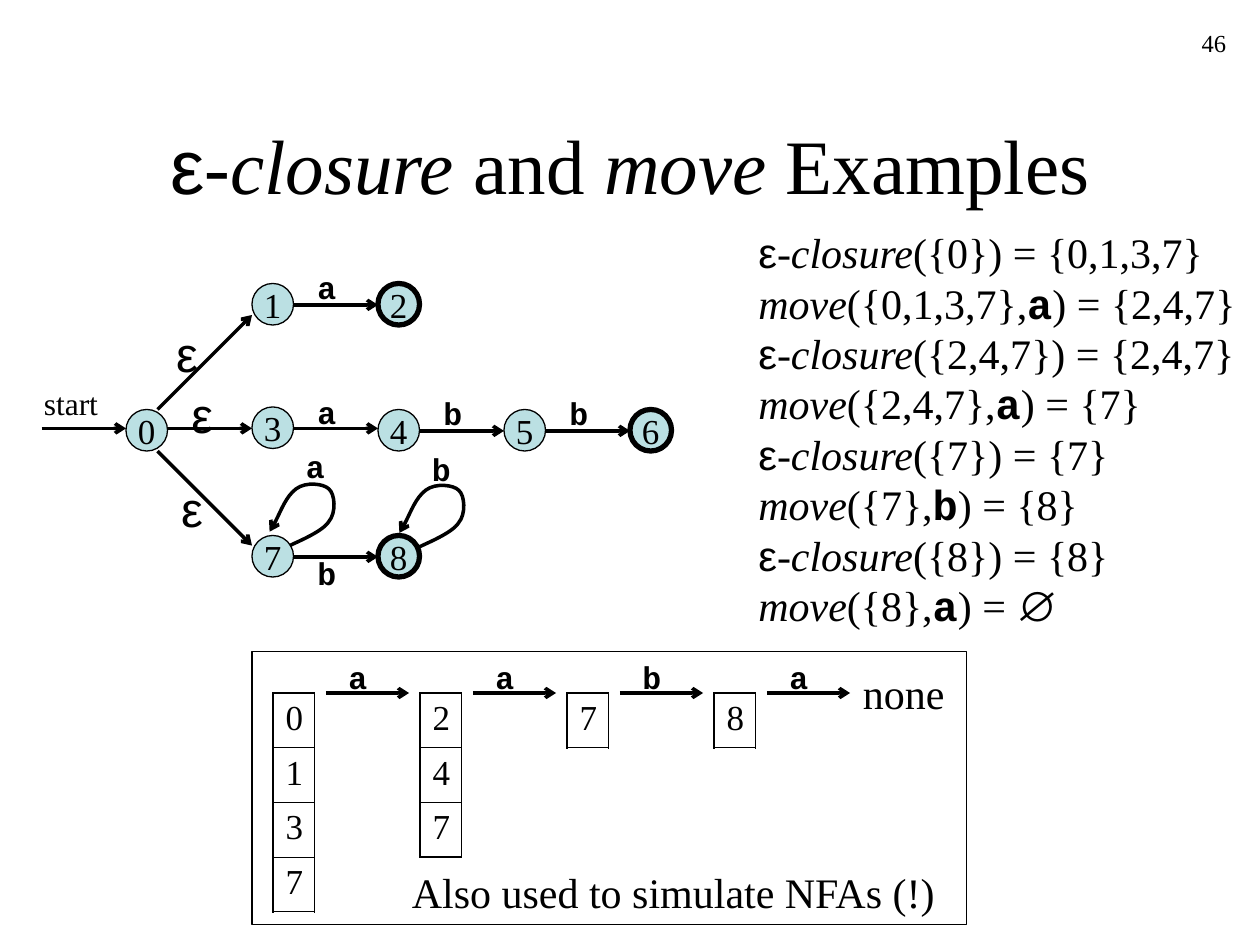
from typing import NamedTuple

from lxml.etree import SubElement
from pptx import Presentation
from pptx.dml.color import RGBColor
from pptx.enum.shapes import MSO_CONNECTOR, MSO_SHAPE
from pptx.enum.text import MSO_ANCHOR, MSO_AUTO_SIZE, PP_ALIGN
from pptx.oxml.ns import qn
from pptx.util import Inches, Pt

BLACK = RGBColor(0x00, 0x00, 0x00)
PALE_TEAL = RGBColor(0xBB, 0xE0, 0xE3)
SERIF, SANS, MONO = "Times New Roman", "Arial", "Courier New"
NODE_SIZE = 0.33


class Run(NamedTuple):
    text: str
    font: str = SERIF
    italic: bool = False
    bold: bool = False


class State(NamedTuple):
    name: str
    left: float
    top: float
    accepting: bool = False


class Arrow(NamedTuple):
    start: tuple[float, float]
    end: tuple[float, float]


class Label(NamedTuple):
    run: Run
    left: float
    top: float
    width: float = 0.35
    height: float = 0.4
    size: float = 18


def symbol(text: str) -> Run:
    return Run(text, MONO, bold=True)


EPSILON = Run("ε", SANS)
CLOSURE = Run("-closure", italic=True)
MOVE = Run("move", italic=True)


def closure_line(states: str, result: str) -> list[Run]:
    return [EPSILON, CLOSURE, Run(f"({{{states}}}) = {{{result}}}")]


def move_line(states: str, letter: str, *result: Run) -> list[Run]:
    return [MOVE, Run(f"({{{states}}},"), symbol(letter), Run(") = "), *result]


STATES = [
    State("0", 1, 3.25), State("1", 2, 2.25), State("2", 3, 2.25, True),
    State("3", 2, 3.23), State("4", 3, 3.25), State("5", 4, 3.25),
    State("6", 5, 3.25, True), State("7", 2, 4.25), State("8", 3, 4.25, True),
]
TRANSITIONS = [
    Arrow((0.33, 3.4), (1, 3.4)), Arrow((1.25, 3.25), (2, 2.5)),
    Arrow((1.33, 3.4), (2, 3.4)), Arrow((1.25, 3.58), (2, 4.33)),
    Arrow((2.33, 2.42), (3, 2.42)), Arrow((2.33, 3.4), (3, 3.4)),
    Arrow((3.33, 3.42), (4, 3.42)), Arrow((4.33, 3.42), (5, 3.42)),
    Arrow((2.33, 4.42), (3, 4.42)),
]
LABELS = [
    Label(Run("start"), 0.25, 3, 0.63),
    *[Label(EPSILON, left, top, 0.37, 0.57, 28)
      for left, top in [(1.3, 2.52), (1.42, 3), (1.34, 3.75)]],
    *[Label(symbol(letter), left, top) for letter, left, top in [
        ("a", 2.42, 2.08), ("a", 2.42, 3.07), ("b", 3.42, 3.08), ("b", 4.42, 3.08),
        ("b", 2.42, 4.35), ("a", 2.33, 3.5), ("b", 3.33, 3.52)]],
]
# Bezier points of a self-loop: the start, then three for each curve
LOOP = [
    (2.3, 4.33), (2.36, 4.3), (2.56, 4.22), (2.61, 4.14),
    (2.67, 4.07), (2.66, 3.92), (2.61, 3.88),
    (2.57, 3.84), (2.43, 3.82), (2.35, 3.88),
    (2.27, 3.94), (2.19, 4.15), (2.14, 4.22),
]
EXAMPLES = [
    closure_line("0", "0,1,3,7"),
    move_line("0,1,3,7", "a", Run("{2,4,7}")),
    closure_line("2,4,7", "2,4,7"),
    move_line("2,4,7", "a", Run("{7}")),
    closure_line("7", "7"),
    move_line("7", "b", Run("{8}")),
    closure_line("8", "8"),
    move_line("8", "a", Run("∅", SANS)),
]
SIMULATION = [("0137", "a"), ("247", "a"), ("7", "b"), ("8", "a")]


def write_runs(paragraph, runs: list[Run], size: float) -> None:
    for item in runs:
        run = paragraph.add_run()
        run.text = item.text
        font = run.font
        font.name, font.size = item.font, Pt(size)
        font.italic, font.bold = item.italic, item.bold
        font.color.rgb = BLACK


def add_text(slide, lines: list[list[Run]], left: float, top: float, width: float,
             height: float, size: float, align=PP_ALIGN.LEFT,
             wrap: bool = False, grow: bool = True):
    box = slide.shapes.add_textbox(Inches(left), Inches(top), Inches(width), Inches(height))
    frame = box.text_frame
    frame.word_wrap = wrap
    frame.auto_size = MSO_AUTO_SIZE.SHAPE_TO_FIT_TEXT if grow else MSO_AUTO_SIZE.NONE
    paragraph = frame.paragraphs[0]
    paragraph.alignment = align
    for index, runs in enumerate(lines):
        if index:
            paragraph.add_line_break()
        write_runs(paragraph, runs, size)
    return box


def add_label(slide, label: Label) -> None:
    add_text(slide, [[label.run]], *label[1:])


def style_arrow(shape) -> None:
    shape.line.color.rgb = BLACK
    shape.line.width = Pt(2)
    SubElement(shape.line._get_or_add_ln(), qn("a:tailEnd"), type="arrow")


def add_arrow(slide, arrow: Arrow) -> None:
    connector = slide.shapes.add_connector(
        MSO_CONNECTOR.STRAIGHT, *map(Inches, arrow.start + arrow.end))
    style_arrow(connector)
    SubElement(connector._element.spPr, qn("a:effectLst"))


def add_loop(slide, right: float, down: float) -> None:
    points = [(Inches(x + right), Inches(y + down)) for x, y in LOOP]
    builder = slide.shapes.build_freeform(*points[0])
    builder.add_line_segments(points[1:], close=False)
    shape = builder.convert_to_shape()
    shape.shadow.inherit = False
    shape.fill.background()
    style_arrow(shape)
    # Turn every three straight segments into one Bezier curve
    outline = shape._element.spPr.find(".//" + qn("a:path"))
    segments = outline.findall(qn("a:lnTo"))
    for first in range(0, len(segments), 3):
        curve = SubElement(outline, qn("a:cubicBezTo"))
        for segment in segments[first:first + 3]:
            curve.append(segment[0])
            outline.remove(segment)


def add_state(slide, state: State) -> None:
    shape = slide.shapes.add_shape(MSO_SHAPE.OVAL, Inches(state.left), Inches(state.top),
                                   Inches(NODE_SIZE), Inches(NODE_SIZE))
    shape.shadow.inherit = False
    shape.fill.solid()
    shape.fill.fore_color.rgb = PALE_TEAL
    shape.line.color.rgb = BLACK
    shape.line.width = Pt(3 if state.accepting else 0.75)
    frame = shape.text_frame
    frame.word_wrap = False
    frame.vertical_anchor = MSO_ANCHOR.MIDDLE
    frame.paragraphs[0].alignment = PP_ALIGN.CENTER
    write_runs(frame.paragraphs[0], [Run(state.name)], 20)


def set_border(cell, side: str, width: float) -> None:
    line = SubElement(cell._tc.get_or_add_tcPr(), qn(f"a:{side}"), w=str(Pt(width)))
    fill = SubElement(line, qn("a:solidFill"))
    SubElement(fill, qn("a:srgbClr"), val=str(BLACK))


def add_state_set(slide, names: str, left: float, top: float) -> None:
    count = len(names)
    table = slide.shapes.add_table(count, 1, Inches(left), Inches(top), Inches(NODE_SIZE),
                                   Inches(0.43 * count)).table
    table.first_row = table.horz_banding = False
    for index, name in enumerate(names):
        cell = table.cell(index, 0)
        write_runs(cell.text_frame.paragraphs[0], [Run(name)], 20)
        set_border(cell, "lnL", 1.08)
        set_border(cell, "lnR", 1.08)
        set_border(cell, "lnT", 1.08 if index == 0 else 0.45)
        set_border(cell, "lnB", 1.08 if index == count - 1 else 0.45)
        cell.fill.background()


def main() -> None:
    presentation = Presentation()
    presentation.slide_width, presentation.slide_height = Inches(10), Inches(7.5)
    slide = presentation.slides.add_slide(presentation.slide_layouts[6])

    # Page number and title
    add_text(slide, [[Run("46")]], 7.75, 0.17, 2.08, 0.5, 14, PP_ALIGN.RIGHT, True, False)
    title = [EPSILON, CLOSURE, Run(" and "), MOVE, Run(" Examples")]
    title_box = add_text(slide, [title], 0.75, 0.67, 8.5, 1.25, 44,
                         PP_ALIGN.CENTER, True, False)
    title_box.text_frame.vertical_anchor = MSO_ANCHOR.MIDDLE

    # Automaton
    for state in STATES:
        add_state(slide, state)
    for arrow in TRANSITIONS:
        add_arrow(slide, arrow)
    add_loop(slide, 0, 0)
    add_loop(slide, 1.03, 0.01)
    for label in LABELS:
        add_label(slide, label)

    # Worked examples, in a fixed box that reaches the slide's right edge
    add_text(slide, EXAMPLES, 5.92, 1.75, 4.08, 3.3, 24, wrap=True, grow=False)

    # Simulation steps
    for index, (names, letter) in enumerate(SIMULATION):
        left = (13 + 7 * index) / 6
        add_state_set(slide, names, left, 5.5)
        add_label(slide, Label(symbol(letter), left + 0.5, 5.17))
        add_arrow(slide, Arrow((left + 0.42, 5.5), (left + 1.08, 5.5)))
    add_label(slide, Label(Run("none"), 6.75, 5.25, 0.85, 0.5, 24))
    add_text(slide, [[Run("Also used to simulate NFAs (!)")]], 3.17, 6.83, 4.5, 0.5, 24, wrap=True)
    frame = slide.shapes.add_shape(MSO_SHAPE.RECTANGLE, Inches(2), Inches(5.17),
                                   Inches(5.67), Inches(2.17))
    frame.shadow.inherit = False
    frame.fill.background()
    frame.line.color.rgb = BLACK
    frame.line.width = Pt(0.75)

    presentation.save("out.pptx")


if __name__ == "__main__":
    main()
